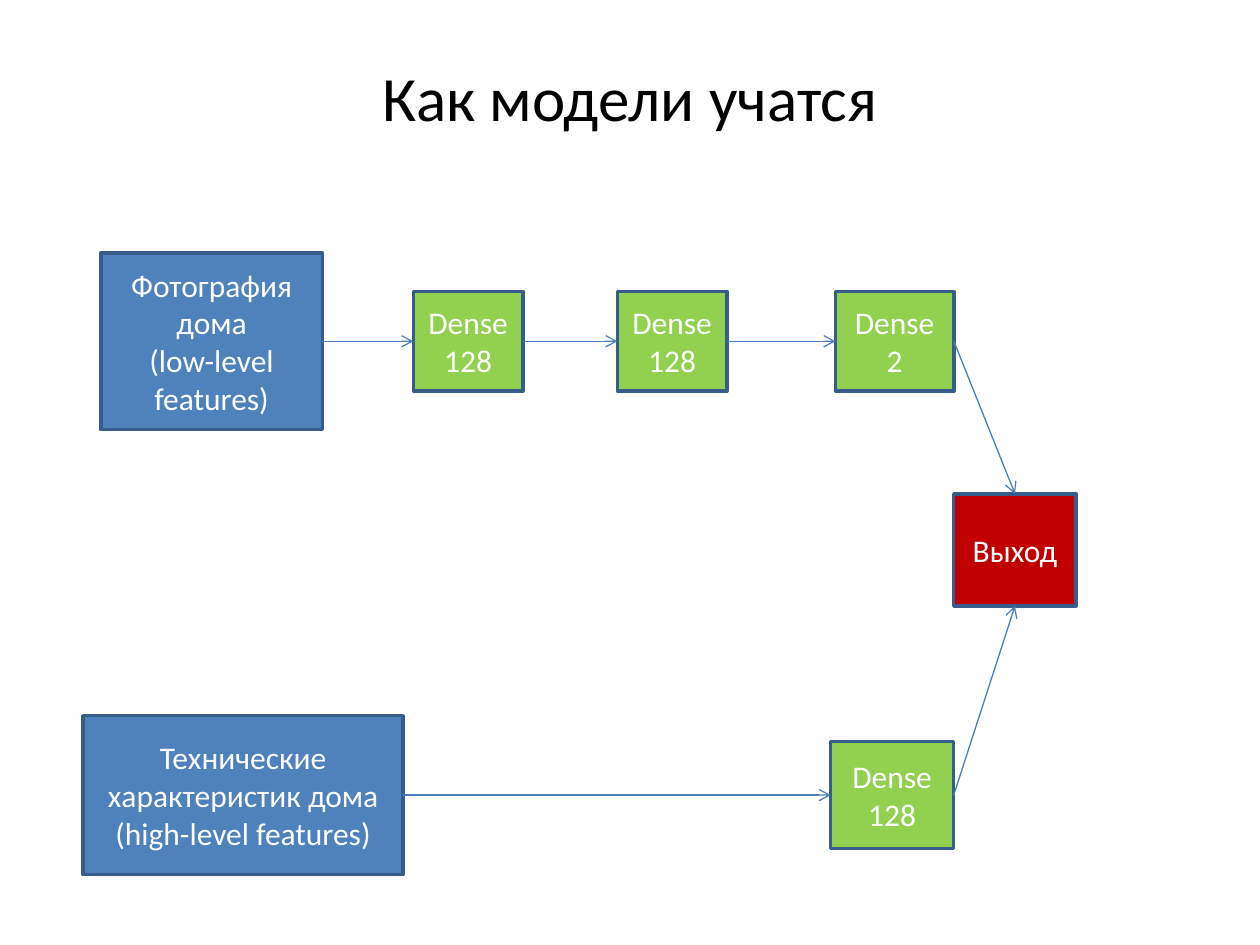
import pptx
import pptx.dml.color
import pptx.enum.shapes
import pptx.enum.text
import pptx.oxml
import pptx.oxml.ns
import pptx.util
import lxml.etree

Pt = pptx.util.Pt
FONT = "Calibri"
BLUE, GREEN, RED = "4F81BD", "92D050", "C00000"
EDGE, WIRE, WHITE, BLACK = "385D8A", "4A7EBB", "FFFFFF", "000000"
TOP, LEFT, BOTTOM, RIGHT = range(4)


def paint(target, color):
    """Set a colour format from a hex string."""
    target.rgb = pptx.dml.color.RGBColor.from_string(color)


def write(frame, lines, size, color):
    """Fill a text frame with centred lines, one run each."""
    frame.word_wrap = True
    frame.vertical_anchor = pptx.enum.text.MSO_ANCHOR.MIDDLE
    for index, line in enumerate(lines):
        para = frame.add_paragraph() if index else frame.paragraphs[0]
        para.alignment = pptx.enum.text.PP_ALIGN.CENTER
        run = para.add_run()
        run.text = line
        run.font.name = FONT
        run.font.size = Pt(size)
        paint(run.font.color, color)


def add_title(slide, box, text):
    """Place and format the title."""
    title = slide.shapes.title
    title.left, title.top, title.width, title.height = map(Pt, box)
    write(title.text_frame, [text], 36, BLACK)


def add_node(slide, box, lines, fill):
    """Draw one labelled block."""
    kind = pptx.enum.shapes.MSO_SHAPE.RECTANGLE
    node = slide.shapes.add_shape(kind, *map(Pt, box))
    node.shadow.inherit = False
    node.fill.solid()
    paint(node.fill.fore_color, fill)
    paint(node.line.color, EDGE)
    node.line.width = Pt(2)
    write(node.text_frame, lines, 18, WHITE)
    return node


def link(slide, start, end, side):
    """Join the right of one node to a side of another."""
    kind = pptx.enum.shapes.MSO_CONNECTOR.STRAIGHT
    wire = slide.shapes.add_connector(kind, 0, 0, 0, 0)
    wire.begin_connect(start, RIGHT)
    wire.end_connect(end, side)
    paint(wire.line.color, WIRE)
    wire.line.width = Pt(0.75)
    qn = pptx.oxml.ns.qn
    head = lxml.etree.SubElement(wire.line._get_or_add_ln(), qn("a:tailEnd"))
    head.set("type", "arrow")
    lxml.etree.SubElement(wire._element.spPr, qn("a:effectLst"))


def add_branch(slide, box, source, layers, high):
    """Draw a source and its layers along the box's middle; return the last."""
    left, top, width, height = box
    wide, lines = source
    last = add_node(slide, (left, top, wide, height), lines, BLUE)
    level = top + (height - high) / 2
    for shift, wide, units in layers:
        place = (left + shift, level, wide, high)
        node = add_node(slide, place, ["Dense", units], GREEN)
        link(slide, last, node, LEFT)
        last = node
    return last


def main():
    """Build and save the slide."""
    deck = pptx.Presentation()
    deck.slide_width, deck.slide_height = Pt(720), Pt(540)
    slide = deck.slides.add_slide(deck.slide_layouts[5])
    add_title(slide, (36, 21.6, 648, 67), "Как модели учатся")
    photo = add_branch(
        slide, (57.6, 144.5, 487.4, 101),
        (126.7, ["Фотография дома", "(low-level features)"]),
        [(178.6, 62.6, "128"), (295.2, 62.6, "128"), (419.8, 67.7, "2")], 57)
    facts = add_branch(
        slide, (47.5, 409, 497.5, 90.7),
        (182.9, ["Технические характеристик дома", "(high-level features)"]),
        [(427.2, 70.3, "128")], 61.2)
    output = add_node(slide, (545, 282.2, 70, 64), ["Выход"], RED)
    link(slide, photo, output, TOP)
    link(slide, facts, output, BOTTOM)
    deck.save("out.pptx")


if __name__ == "__main__":
    main()
